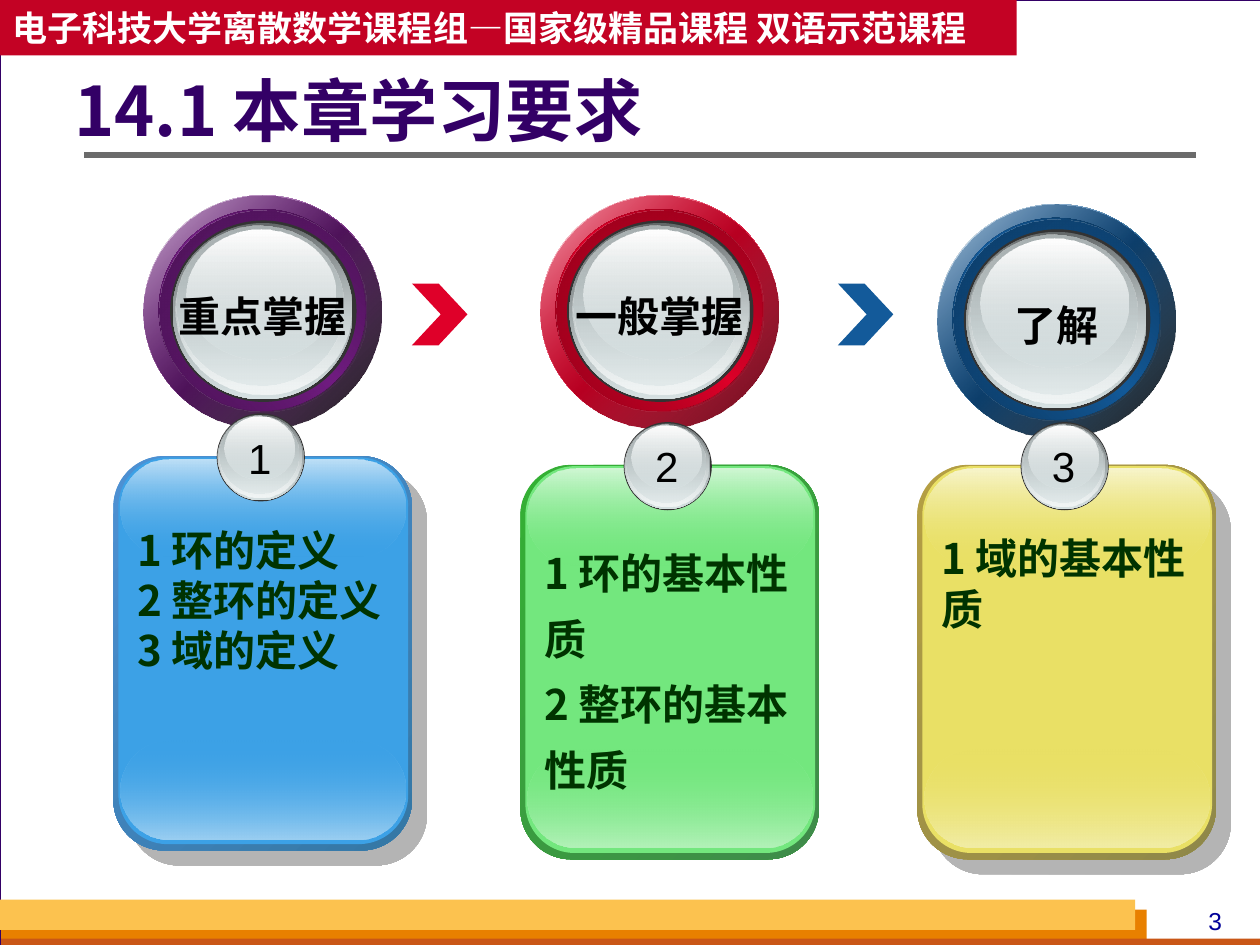
from lxml.etree import SubElement
from pptx import Presentation
from pptx.dml.color import RGBColor
from pptx.enum.shapes import MSO_CONNECTOR, MSO_SHAPE
from pptx.enum.text import MSO_ANCHOR, PP_ALIGN
from pptx.oxml.ns import qn
from pptx.util import Pt

PX = 9144  # 100 px to the inch
CJK = "Noto Sans CJK SC"
COLORS = {
    "white": "FFFFFF", "black": "000000", "backdrop": "D8DADA",
    "title": "330066", "rule": "6B6B6B", "header": "C30224",
    "gold": "FCC24F", "orange": "E88000", "rust": "C95616",
    "number": "000099", "body": "003300", "rim": "333333",
    "steel": "636869", "silver": "D6E1E2", "pearl": "F1F5F5", "ash": "AAB2B3",
    "purple": "711C81", "purple_dark": "3D0F46", "purple_mid": "481252",
    "red": "DF0029", "red_dark": "790016", "red_mid": "8E001A", "red_deep": "670013",
    "navy": "135A9A", "navy_dark": "0A3153", "navy_mid": "0C3962",
    "blue": "3CA1E6", "blue_top": "BEE0F7", "blue_foot": "9BCFF2",
    "blue_edge": "4E91D4", "blue_edge_dark": "3477A4",
    "green": "73E77E", "green_top": "D0F7D4", "green_foot": "B3F2B9",
    "green_edge": "34B034", "green_edge_dark": "3F8B4A",
    "yellow": "E9E065", "yellow_top": "F8F5CC", "yellow_foot": "F2EDA6",
    "yellow_edge": "B59F43", "yellow_edge_dark": "8F8849",
}


def draw(preset, left, top, width, height, fill, adjust=None):
    """Fill is a colour name, or an angle followed by (position, colour, opacity) stops."""
    shape = page.shapes.add_shape(preset, left * PX, top * PX, width * PX, height * PX)
    shape.shadow.inherit = False
    shape.line.fill.background()
    if adjust is not None:
        shape.adjustments[0] = adjust
    if isinstance(fill, str):
        shape.fill.solid()
        shape.fill.fore_color.rgb = RGBColor.from_string(COLORS[fill])
        return shape
    angle, *stops = fill
    shape.fill.gradient()
    gradient = shape._element.spPr.find(qn("a:gradFill"))
    gradient.find(qn("a:lin")).set("ang", str(angle * 60000))
    stop_list = gradient.find(qn("a:gsLst"))
    for old_stop in list(stop_list):
        stop_list.remove(old_stop)
    for position, name, opacity in stops:
        stop = SubElement(stop_list, qn("a:gs"), pos=str(position * 1000))
        color = SubElement(stop, qn("a:srgbClr"), val=COLORS[name])
        if opacity < 100:
            SubElement(color, qn("a:alpha"), val=str(opacity * 1000))
    return shape


def write(text, left, top, width, height, size=24, color="black", bold=True, font=CJK,
          align=PP_ALIGN.LEFT, anchor=MSO_ANCHOR.TOP, wrap=True, spacing=None, inset=10):
    box = page.shapes.add_textbox(left * PX, top * PX, width * PX, height * PX)
    frame = box.text_frame
    frame.word_wrap = wrap
    frame.vertical_anchor = anchor
    frame.margin_left = inset * PX
    frame.text = text
    for para in frame.paragraphs:
        para.alignment = align
        para.line_spacing = spacing
        for span in para.runs:
            span.font.name = font
            span.font.size = Pt(size)
            span.font.bold = bold
            span.font.color.rgb = RGBColor.from_string(COLORS[color])
            SubElement(span._r.rPr, qn("a:ea"), typeface=CJK)


deck = Presentation()
deck.slide_width, deck.slide_height = 1000 * PX, 750 * PX
page = deck.slides.add_slide(deck.slide_layouts[6])
page.background.fill.solid()
page.background.fill.fore_color.rgb = RGBColor.from_string(COLORS["backdrop"])

# Frame, footer bars, header and title
frame_box = draw(MSO_SHAPE.RECTANGLE, 0, 0, 1001, 750, "white")
frame_box.line.color.rgb = RGBColor.from_string(COLORS["title"])
frame_box.line.width = Pt(0.75)
for left, top, width, height, color in [
    (1, 722, 909, 28, "orange"), (1, 745, 1000, 8, "rust"),
    (0, 714, 901, 24, "gold"), (0, 0, 807, 44, "header"),
]:
    draw(MSO_SHAPE.RECTANGLE, left, top, width, height, color)
write("电子科技大学离散数学课程组—国家级精品课程 双语示范课程", 0, 0, 807, 44,
      size=20, color="white", anchor=MSO_ANCHOR.MIDDLE)
write("3", 933, 714, 63, 34, size=14, color="number", bold=False, font="Arial",
      align=PP_ALIGN.CENTER)
write("14.1 本章学习要求", 59, 56, 778, 69, size=39, color="title",
      anchor=MSO_ANCHOR.MIDDLE, spacing=0.9, inset=0)
rule = page.shapes.add_connector(MSO_CONNECTOR.STRAIGHT, 67 * PX, 123 * PX, 949 * PX, 123 * PX)
rule.line.color.rgb = RGBColor.from_string(COLORS["rule"])
rule.line.width = Pt(3)
SubElement(rule._element.spPr, qn("a:effectLst"))

for left, color in [(327, "red"), (665, "navy")]:
    draw(MSO_SHAPE.CHEVRON, left, 225, 44, 49, color, adjust=0.52)

# Glass buttons: the same five fills serve the big rings and the small badges
GLASS = [
    "rim",
    (90, (0, "steel", 100), (100, "silver", 100)),
    (90, (0, "silver", 0), (100, "pearl", 100)),
    (90, (0, "ash", 100), (100, "silver", 48)),
    (90, (0, "white", 100), (100, "silver", 38)),
]
RING_GLASS = [(21, 20, 148, 144), (23, 22, 143, 140), (25, 22, 140, 136),
              (26, 24, 133, 127), (34, 27, 118, 103)]
BADGE_GLASS = [(0, 0, 70, 70), (1, 1, 68, 68), (1, 1, 66, 66), (2, 2, 63, 62), (6, 3, 56, 50)]

rings = [
    ("重点掌握", 155, "purple", ("black", 90)),
    ("一般掌握", 155, "red", ("red_deep", 100)),
    ("了解", 162, "navy", ("black", 90)),
]
for index, (label, top, hue, shade) in enumerate(rings):
    left = 114 + 315 * index
    dark, middle = hue + "_dark", hue + "_mid"
    layers = [
        (0, 0, 189, 185, (45, (0, "white", 100), (50, hue, 100), (100, "white", 100))),
        (0, 0, 189, 185, (45, (0, hue, 32), (100, *shade))),
        (12, 11, 164, 160, (315, (0, dark, 100), (50, hue, 100), (100, dark, 100))),
        (13, 12, 164, 160, (45, (0, middle, 100), (100, hue, 0))),
    ]
    layers += [(*place, fill) for place, fill in zip(RING_GLASS, GLASS)]
    for x, y, width, height, fill in layers:
        draw(MSO_SHAPE.OVAL, left + x, top + y, width, height, fill)
    write(label, left + 18, top + 71, 153, 50, font="Arial", align=PP_ALIGN.CENTER, wrap=False)

cards = [
    ("1", 90, 362, "blue", True, None, "1 环的定义\n2 整环的定义\n3 域的定义"),
    ("2", 413, 369, "green", False, 1.3, "1 环的基本性质\n2 整环的基本性质"),
    ("3", 728, 369, "yellow", True, None, "1 域的基本性质"),
]
for number, left, top, hue, shadowed, spacing, text in cards:
    edge = draw(MSO_SHAPE.ROUNDED_RECTANGLE, left, top, 237, 313,
                (45, (0, hue + "_edge", 100), (100, hue + "_edge_dark", 100)), adjust=0.17)
    if shadowed:
        effects = edge._element.spPr.find(qn("a:effectLst"))
        shadow = SubElement(effects, qn("a:outerShdw"), dist=str(Pt(12.1)),
                            dir=str(45 * 60000), algn="ctr", rotWithShape="0")
        shadow_color = SubElement(shadow, qn("a:srgbClr"), val=COLORS["rule"])
        SubElement(shadow_color, qn("a:alpha"), val="50000")
    draw(MSO_SHAPE.ROUNDED_RECTANGLE, left + 4, top + 1, 230, 307, hue, adjust=0.17)
    draw(MSO_SHAPE.ROUNDED_RECTANGLE, left + 6, top + 226, 226, 78,
         (90, (0, hue, 0), (100, hue + "_foot", 100)), adjust=0.5)
    draw(MSO_SHAPE.ROUNDED_RECTANGLE, left + 6, top + 3, 226, 77,
         (90, (0, hue + "_top", 100), (100, hue, 0)), adjust=0.5)
    for (x, y, width, height), fill in zip(BADGE_GLASS, GLASS):
        draw(MSO_SHAPE.OVAL, left + 82 + x, top - 34 + y, width, height, fill)
    write(number, left + 97, top - 24, 38, 50, bold=False, font="Arial",
          align=PP_ALIGN.CENTER, wrap=False)
    write(text, left + 9, top + 49, 225, 170, color="body", spacing=spacing)

deck.save("out.pptx")
